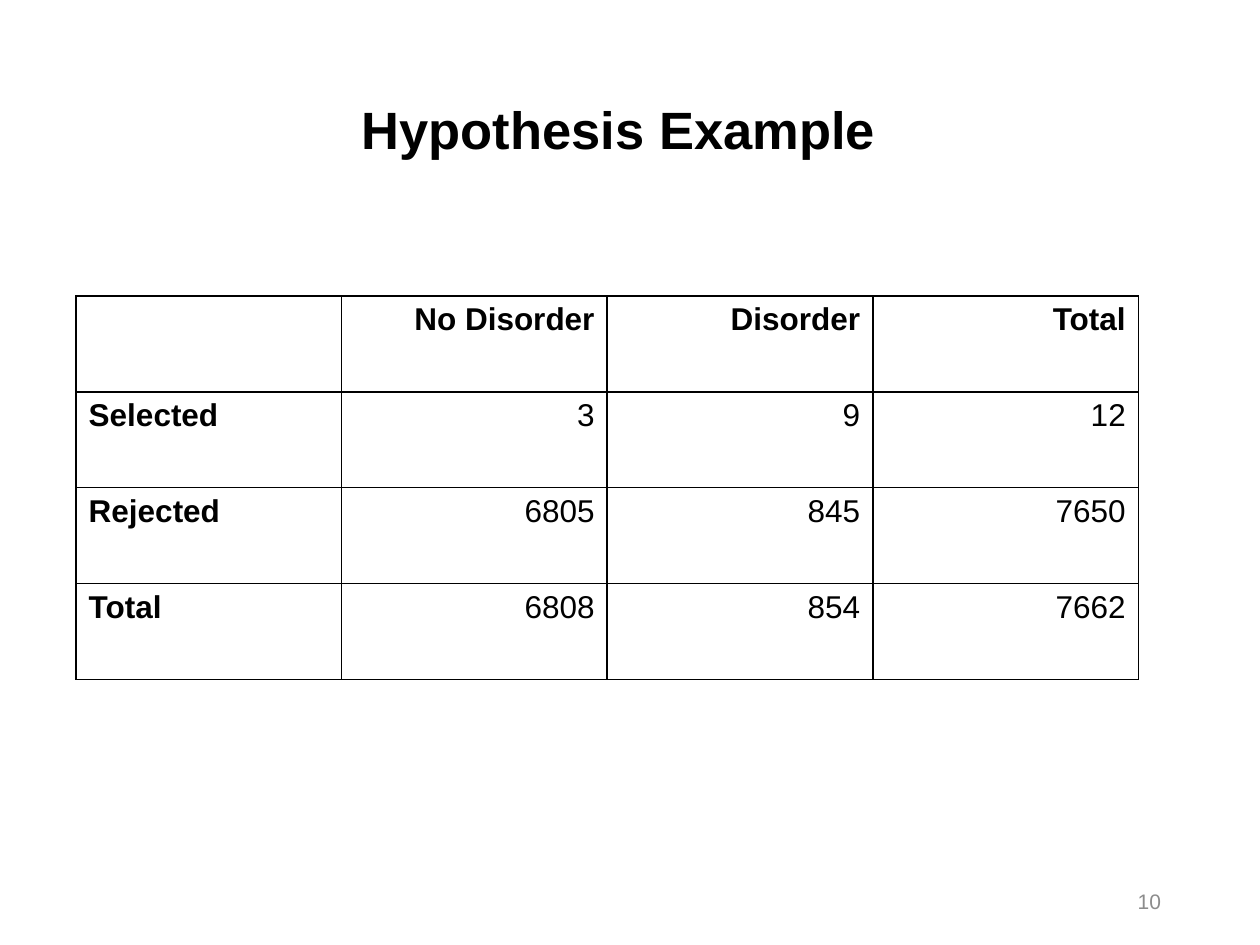
from dataclasses import dataclass

from lxml.etree import SubElement
from pptx import Presentation
from pptx.dml.color import RGBColor
from pptx.enum.text import MSO_ANCHOR, PP_ALIGN
from pptx.oxml.ns import qn
from pptx.util import Pt


@dataclass(frozen=True)
class Theme:
    face: str = "Arial"
    ink: str = "000000"
    gray: str = "8C8C8C"
    head: int = 30
    body: int = 18
    note: int = 12
    rule: int = 1


THEME = Theme()
ROWS = [
    ["", "No Disorder", "Disorder", "Total"],
    ["Selected", "3", "9", "12"],
    ["Rejected", "6805", "845", "7650"],
    ["Total", "6808", "854", "7662"],
]


def style(para, size, color, align, bold=False):
    para.alignment = align
    font = para.font
    font.name, font.size, font.bold = THEME.face, Pt(size), bold
    font.color.rgb = RGBColor.from_string(color)


def add_title(slide, text):
    title = slide.shapes.title
    title.left, title.top = Pt(43.2), Pt(10.8)
    title.width, title.height = Pt(620.6), Pt(129.6)
    frame = title.text_frame
    frame.text = text
    frame.word_wrap = True
    frame.vertical_anchor = MSO_ANCHOR.MIDDLE
    para = frame.paragraphs[0]
    para.line_spacing = 0.9
    style(para, THEME.head, THEME.ink, PP_ALIGN.CENTER, True)


def add_rules(cell):
    # Borders must come before the fill in the cell properties
    props = cell._tc.get_or_add_tcPr()
    for side in ("lnL", "lnR", "lnT", "lnB"):
        line = SubElement(props, qn(f"a:{side}"), w=str(Pt(THEME.rule)))
        fill = SubElement(line, qn("a:solidFill"))
        SubElement(fill, qn("a:srgbClr"), val=THEME.ink)


def add_grid(slide, rows):
    wide, high = Pt(151.75), Pt(54.75)
    count = len(rows[0])
    frame = slide.shapes.add_table(
        len(rows), count, Pt(43.5), Pt(169.2), wide * count, high * len(rows))
    table = frame.table
    table.horz_banding = False
    for col in table.columns:
        col.width = wide
    for r, row in enumerate(rows):
        table.rows[r].height = high
        for c, text in enumerate(row):
            cell = table.cell(r, c)
            add_rules(cell)
            cell.fill.background()
            cell.text = text
            align = PP_ALIGN.RIGHT if c else PP_ALIGN.LEFT
            style(cell.text_frame.paragraphs[0], THEME.body, THEME.ink,
                  align, r == 0 or c == 0)


def add_page(slide, text):
    box = slide.shapes.add_textbox(Pt(508.5), Pt(500.5), Pt(162), Pt(28.8))
    frame = box.text_frame
    frame.word_wrap = True
    frame.vertical_anchor = MSO_ANCHOR.MIDDLE
    frame.text = text
    style(frame.paragraphs[0], THEME.note, THEME.gray, PP_ALIGN.RIGHT)


def main():
    deck = Presentation()
    deck.slide_width, deck.slide_height = Pt(720), Pt(540)
    slide = deck.slides.add_slide(deck.slide_layouts.get_by_name("Title Only"))

    # Heading
    add_title(slide, "Hypothesis Example")
    # Table of counts
    add_grid(slide, ROWS)
    # Page number
    add_page(slide, "10")

    deck.save("out.pptx")


if __name__ == "__main__":
    main()
